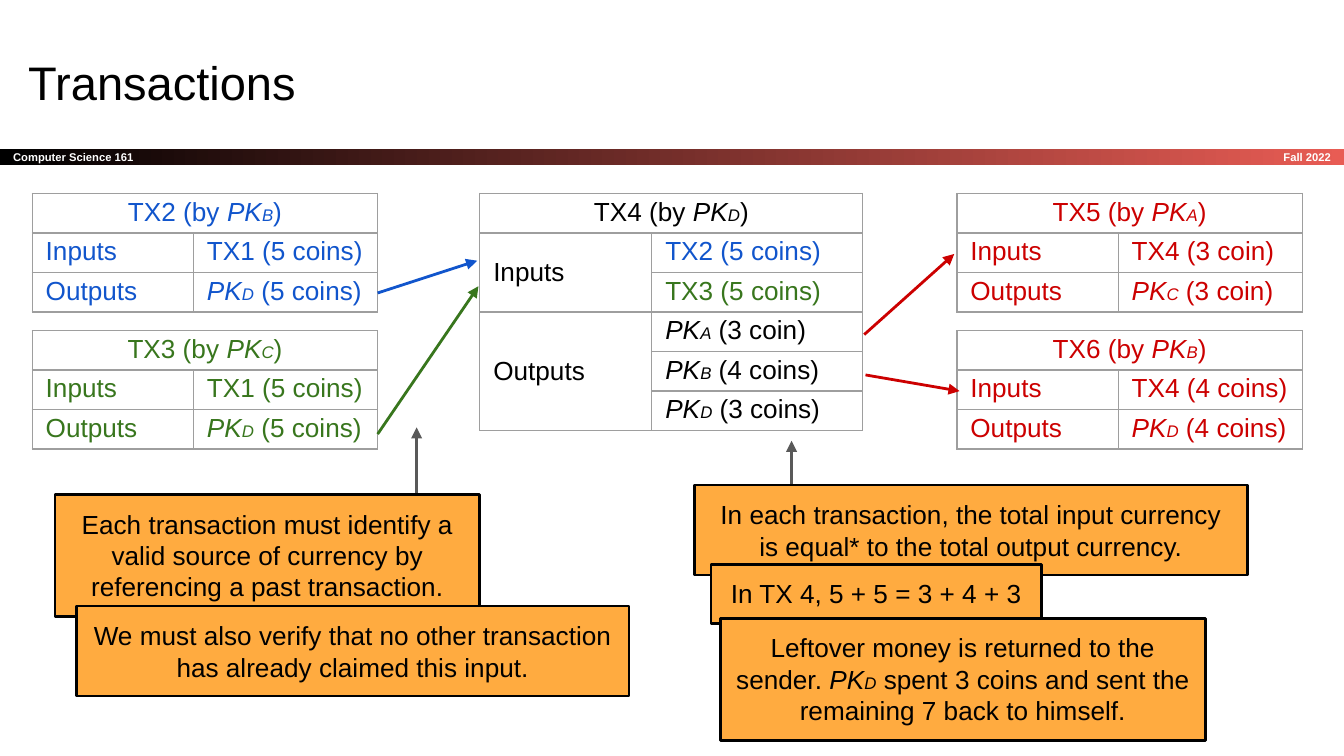
from dataclasses import dataclass

from lxml import etree
from pptx import Presentation, util as u
from pptx.dml.color import RGBColor
from pptx.enum import shapes, text
from pptx.oxml import ns, parse_xml


@dataclass(frozen=True)
class Theme:
    font: str = "Arial"
    black: str = "000000"
    white: str = "FFFFFF"
    blue: str = "1155CC"
    green: str = "38761D"
    red: str = "CC0000"
    grey: str = "595959"
    border: str = "9E9E9E"
    orange: str = "FFAB40"
    coral: str = "E85C54"
    title_size: float = 25.2
    body_size: float = 14
    key_size: float = 9
    banner_size: float = 6
    line_width: float = 1.5
    border_width: float = 0.75


THEME = Theme()


@dataclass(frozen=True)
class Entry:
    words: str
    color: str


@dataclass(frozen=True)
class Transaction:
    left: float
    top: float
    columns: tuple[float, float]
    heading: str
    color: str
    inputs: tuple[Entry, ...]
    outputs: tuple[Entry, ...]


@dataclass(frozen=True)
class Callout:
    left: float
    top: float
    width: float
    height: float
    words: str


@dataclass(frozen=True)
class Arrow:
    start: tuple[float, float]
    end: tuple[float, float]
    color: str


def small_transaction(left: float, top: float, color: str, heading: str,
                      source: str, target: str) -> Transaction:
    return Transaction(left, top, (1.2, 1.37), heading, color,
                       (Entry(source, color),), (Entry(target, color),))


LEFT, RIGHT, UPPER, LOWER = 0.24, 7.12, 1.44, 2.46
TRANSACTIONS = [
    small_transaction(LEFT, UPPER, THEME.blue, "TX2 (by PK_B)",
                      "TX1 (5 coins)", "PK_D (5 coins)"),
    small_transaction(LEFT, LOWER, THEME.green, "TX3 (by PK_C)",
                      "TX1 (5 coins)", "PK_D (5 coins)"),
    Transaction(3.57, UPPER, (1.28, 1.57), "TX4 (by PK_D)", THEME.black,
                (Entry("TX2 (5 coins)", THEME.blue), Entry("TX3 (5 coins)", THEME.green)),
                (Entry("PK_A (3 coin)", THEME.black), Entry("PK_B (4 coins)", THEME.black),
                 Entry("PK_D (3 coins)", THEME.black))),
    small_transaction(RIGHT, UPPER, THEME.red, "TX5 (by PK_A)",
                      "TX4 (3 coin)", "PK_C (3 coin)"),
    small_transaction(RIGHT, LOWER, THEME.red, "TX6 (by PK_B)",
                      "TX4 (4 coins)", "PK_D (4 coins)"),
]
CALLOUTS = [
    Callout(5.17, 3.61, 4.11, 0.67, "In each transaction, the total input currency "
            "is equal* to the total output currency."),
    Callout(5.29, 4.2, 2.46, 0.44, "In TX 4, 5 + 5 = 3 + 4 + 3"),
    Callout(0.41, 3.68, 3.16, 0.91, "Each transaction must identify a valid source of "
            "currency by referencing a past transaction."),
    Callout(0.57, 4.51, 4.11, 0.67, "We must also verify that no other transaction "
            "has already claimed this input."),
    Callout(5.36, 4.6, 3.61, 0.91, "Leftover money is returned to the sender. PK_D spent "
            "3 coins and sent the remaining 7 back to himself."),
]
POINTERS = [
    Arrow((5.89, 3.96), (5.89, 3.28), THEME.grey),
    Arrow((3.1, 3.85), (3.1, 3.18), THEME.grey),
]
COIN_FLOWS = [
    Arrow((2.81, 2.18), (3.55, 1.94), THEME.blue),
    Arrow((2.81, 3.23), (3.56, 2.13), THEME.green),
    Arrow((6.43, 2.49), (7.1, 1.89), THEME.red),
    Arrow((6.44, 2.79), (7.14, 2.91), THEME.red),
]


def style_span(span, size: float, color: str, italic: bool = False, bold: bool = False) -> None:
    span.font.name = THEME.font
    span.font.size = u.Pt(size)
    span.font.color.rgb = RGBColor.from_string(color)
    span.font.italic = italic
    span.font.bold = bold


def write_with_keys(para, words: str, color: str) -> None:
    """Write words, turning each PK_X into an italic PK with a small X."""
    first, *rest = words.split("PK_")
    pieces = [(first, THEME.body_size, False)]
    for chunk in rest:
        pieces += [("PK", THEME.body_size, True), (chunk[0], THEME.key_size, True),
                   (chunk[1:], THEME.body_size, False)]
    for piece, size, italic in pieces:
        if piece:
            span = para.add_run()
            span.text = piece
            style_span(span, size, color, italic)


def set_insets(owner, across: float, down: float) -> None:
    owner.margin_left = owner.margin_right = u.Inches(across)
    owner.margin_top = owner.margin_bottom = u.Inches(down)


def add_rectangle(page, left: float, top: float, width: float, height: float):
    box = page.shapes.add_shape(shapes.MSO_SHAPE.RECTANGLE, u.Inches(left), u.Inches(top),
                                u.Inches(width), u.Inches(height))
    box.shadow.inherit = False
    return box


def write_banner_label(box, words: str, align) -> None:
    frame = box.text_frame
    frame.word_wrap = True
    frame.vertical_anchor = text.MSO_ANCHOR.MIDDLE
    set_insets(frame, 0.1, 0)
    frame.text = words
    frame.paragraphs[0].alignment = align
    style_span(frame.paragraphs[0].runs[0], THEME.banner_size, THEME.white, bold=True)


def add_banner(page) -> None:
    bar = add_rectangle(page, 0, 1.11, 10, 0.12)
    bar.line.fill.background()
    bar.fill.gradient()
    bar.fill.gradient_angle = 0
    for stop, color in zip(bar.fill.gradient_stops, (THEME.black, THEME.coral)):
        stop.color.rgb = RGBColor.from_string(color)
    write_banner_label(bar, "Computer Science 161", text.PP_ALIGN.LEFT)
    term = page.shapes.add_textbox(u.Inches(8.34), u.Inches(1.11), u.Inches(1.66), u.Inches(0.12))
    write_banner_label(term, "Fall 2022", text.PP_ALIGN.RIGHT)


def set_title(page, words: str) -> None:
    title = page.shapes.title
    title.left, title.top, title.width, title.height = map(u.Inches, (0.11, 0.3, 9.32, 0.63))
    frame = title.text_frame
    frame.text = words
    frame.vertical_anchor = text.MSO_ANCHOR.TOP
    set_insets(frame, 0.1, 0.1)
    frame.paragraphs[0].alignment = text.PP_ALIGN.LEFT
    style_span(frame.paragraphs[0].runs[0], THEME.title_size, THEME.black)


def add_arrow(page, arrow: Arrow) -> None:
    line = page.shapes.add_connector(shapes.MSO_CONNECTOR.STRAIGHT,
                                     *map(u.Inches, arrow.start + arrow.end))
    line.line.color.rgb = RGBColor.from_string(arrow.color)
    line.line.width = u.Pt(THEME.line_width)
    etree.SubElement(line.line._get_or_add_ln(), ns.qn("a:tailEnd"), type="triangle")
    etree.SubElement(line._element.spPr, ns.qn("a:effectLst"))


def add_callout(page, callout: Callout) -> None:
    box = add_rectangle(page, callout.left, callout.top, callout.width, callout.height)
    box.fill.solid()
    box.fill.fore_color.rgb = RGBColor.from_string(THEME.orange)
    box.line.color.rgb = RGBColor.from_string(THEME.black)
    box.line.width = u.Pt(THEME.line_width)
    frame = box.text_frame
    frame.word_wrap = True
    frame.auto_size = text.MSO_AUTO_SIZE.SHAPE_TO_FIT_TEXT
    frame.vertical_anchor = text.MSO_ANCHOR.TOP
    set_insets(frame, 0.1, 0.1)
    para = frame.paragraphs[0]
    para.alignment = text.PP_ALIGN.CENTER
    write_with_keys(para, callout.words, THEME.black)


def outline_cell(cell) -> None:
    for side in ("lnL", "lnR", "lnT", "lnB"):
        cell._tc.get_or_add_tcPr().append(parse_xml(
            f'<a:{side} {ns.nsdecls("a")} w="{u.Pt(THEME.border_width)}"><a:solidFill>'
            f'<a:srgbClr val="{THEME.border}"/></a:solidFill></a:{side}>'))
    cell.fill.background()


def add_transaction(page, entry: Transaction) -> None:
    rows = 1 + len(entry.inputs) + len(entry.outputs)
    row_height = u.Inches(0.88) // 3
    grid = page.shapes.add_table(rows, 2, u.Inches(entry.left), u.Inches(entry.top),
                                 u.Inches(sum(entry.columns)), row_height * rows).table
    grid.first_row = grid.horz_banding = False
    for column, width in zip(grid.columns, entry.columns):
        column.width = u.Inches(width)
    for row in grid.rows:
        row.height = row_height
    for cell in grid.iter_cells():
        set_insets(cell, 0.1, 0.03)
        outline_cell(cell)

    heading = grid.cell(0, 0)
    heading.merge(grid.cell(0, 1))
    heading.text_frame.paragraphs[0].alignment = text.PP_ALIGN.CENTER
    write_with_keys(heading.text_frame.paragraphs[0], entry.heading, entry.color)
    first = 1
    for name, items in (("Inputs", entry.inputs), ("Outputs", entry.outputs)):
        label = grid.cell(first, 0)
        if len(items) > 1:
            label.merge(grid.cell(first + len(items) - 1, 0))
            label.vertical_anchor = text.MSO_ANCHOR.MIDDLE
        write_with_keys(label.text_frame.paragraphs[0], name, entry.color)
        for row, item in enumerate(items, first):
            write_with_keys(grid.cell(row, 1).text_frame.paragraphs[0], item.words, item.color)
        first += len(items)


def main() -> None:
    deck = Presentation()
    deck.slide_width = u.Inches(10)
    deck.slide_height = deck.slide_width * 9 // 16
    page = deck.slides.add_slide(deck.slide_layouts.get_by_name("Title Only"))
    set_title(page, "Transactions")
    add_banner(page)
    for draw, items in ((add_arrow, POINTERS), (add_callout, CALLOUTS),
                        (add_transaction, TRANSACTIONS), (add_arrow, COIN_FLOWS)):
        for item in items:
            draw(page, item)
    deck.save("out.pptx")


if __name__ == "__main__":
    main()
